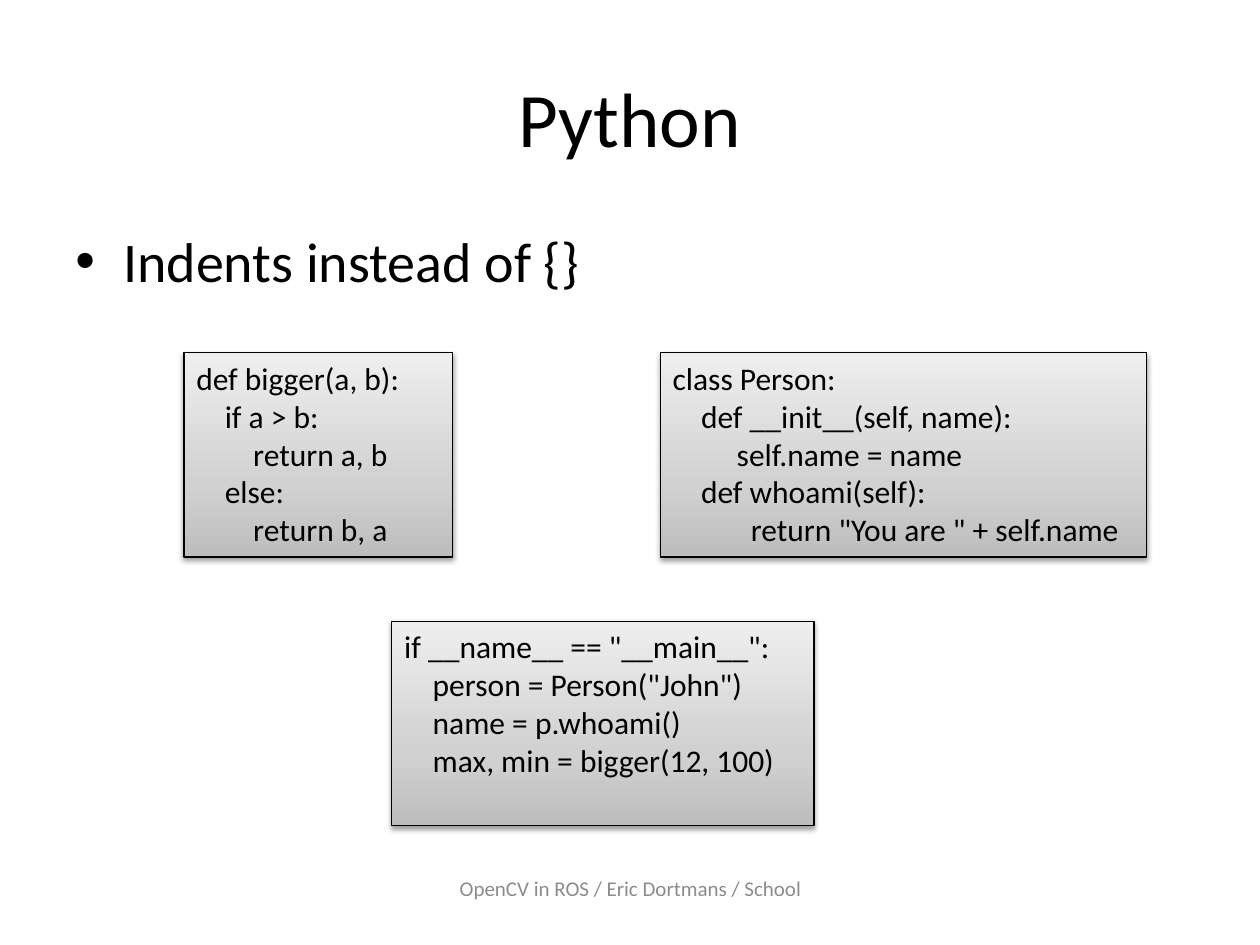
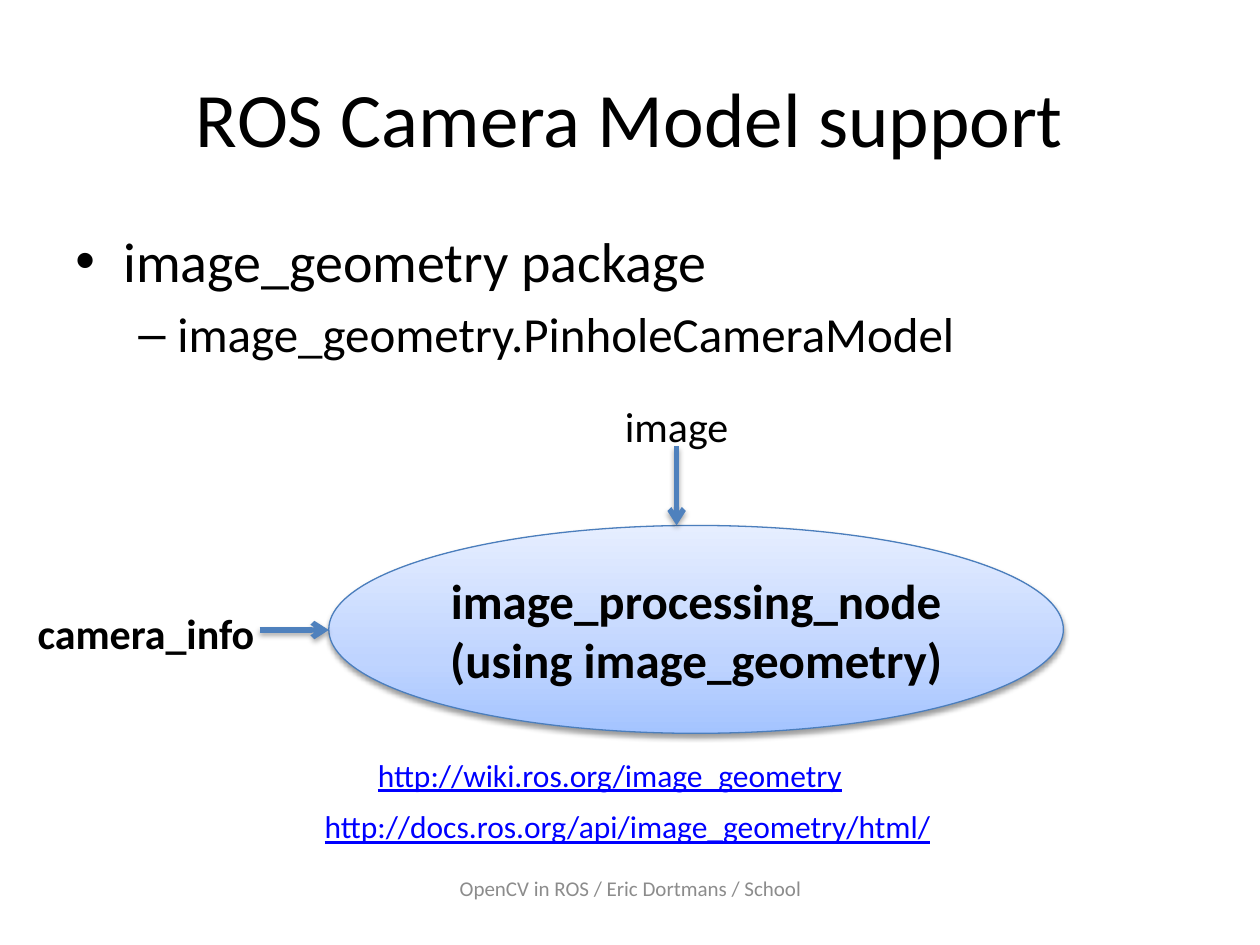
from pptx import Presentation
from pptx import util as u
from pptx.dml.color import RGBColor
from pptx.enum import shapes, text
from pptx.oxml import parse_xml
from pptx.oxml.ns import nsdecls

BLACK = RGBColor(0x00, 0x00, 0x00)
GREY = RGBColor(0x8C, 0x8C, 0x8C)
LINK = RGBColor(0x00, 0x00, 0xFF)
OUTLINE = RGBColor(0x4B, 0x7E, 0xBC)
ARROW = RGBColor(0x4F, 0x81, 0xBD)
GREYS = [RGBColor(0xBD, 0xBD, 0xBD), RGBColor(0xD1, 0xD1, 0xD1), RGBColor(0xEE, 0xEE, 0xEE)]
BLUES = [RGBColor(0xA4, 0xC4, 0xFF), RGBColor(0xBF, 0xD4, 0xFF), RGBColor(0xE6, 0xEE, 0xFF)]
CENTER, LEFT = text.PP_ALIGN.CENTER, text.PP_ALIGN.LEFT
TOP, MIDDLE = text.MSO_ANCHOR.TOP, text.MSO_ANCHOR.MIDDLE
FOOTER = "OpenCV in ROS / Eric Dortmans / School"
SPACE = 0.0565


def write(sp, lines, size, color=BLACK, align=LEFT, anchor=TOP, bold=False, wrap=True):
    tf = sp.text_frame
    tf.word_wrap = wrap
    tf.vertical_anchor = anchor
    for i, line in enumerate(lines):
        p = tf.paragraphs[0] if i == 0 else tf.add_paragraph()
        p.alignment = align
        r = p.add_run()
        r.text = line
        r.font.name = "Calibri"
        r.font.size = u.Pt(size)
        r.font.bold = bold
        r.font.color.rgb = color
    return tf


def finish(sp, line_color, width, stops=(), opacity=38, distance=1.6):
    spPr = sp._element.spPr
    if stops:
        gs = "".join(f'<a:gs pos="{pos}000"><a:srgbClr val="{c}"/></a:gs>'
                     for pos, c in zip((0, 35, 100), stops))
        spPr.insert(2, parse_xml(f'<a:gradFill {nsdecls("a")} rotWithShape="1"><a:gsLst>{gs}</a:gsLst>'
                                 '<a:lin ang="16200000" scaled="0"/></a:gradFill>'))
    sp.line.color.rgb = line_color
    sp.line.width = u.Pt(width)
    spPr.append(parse_xml(
        f'<a:effectLst {nsdecls("a")}><a:outerShdw blurRad="{u.Pt(3.1)}" dist="{u.Pt(distance)}" '
        f'dir="5400000" rotWithShape="0"><a:srgbClr val="000000"><a:alpha val="{opacity}000"/>'
        '</a:srgbClr></a:outerShdw></a:effectLst>'))


prs = Presentation()
prs.slide_width, prs.slide_height = u.Inches(10), u.Inches(7.5)

BULLETS = {0: ("•", 32, 0.38, -0.38), 1: ("–", 28, 0.81, -0.31)}
outline = [
    ("Python", ["Indents instead of {}"]),
    ("ROS Camera Model support", ["image_geometry package", "image_geometry.PinholeCameraModel"]),
]
for title, points in outline:
    s = prs.slides.add_slide(prs.slide_layouts[6])
    sp = s.shapes.add_textbox(*map(u.Inches, (0.5, 0.3, 9, 1.25)))
    write(sp, [title], 44, align=CENTER, anchor=MIDDLE)
    sp = s.shapes.add_textbox(*map(u.Inches, (0.5, 1.75, 9, 4.95)))
    tf = write(sp, points, 32)
    for level, p in enumerate(tf.paragraphs):
        mark, size, margin, indent = BULLETS[level]
        p.level = level
        p.space_before = u.Pt(size * 0.2)
        p.runs[0].font.size = u.Pt(size)
        pPr = p._p.get_or_add_pPr()
        pPr.set("marL", str(u.Inches(margin)))
        pPr.set("indent", str(u.Inches(indent)))
        pPr.append(parse_xml(f'<a:buFont {nsdecls("a")} typeface="Arial"/>'))
        pPr.append(parse_xml(f'<a:buChar {nsdecls("a")} char="{mark}"/>'))
    sp = s.shapes.add_textbox(*map(u.Inches, (3.42, 6.95, 3.17, 0.4)))
    write(sp, [FOOTER], 12, GREY, CENTER).margin_top = 0

python_slide, camera_slide = prs.slides

listings = [
    (5.24, 2.8, 3.86, [(0, "class Person:"), (4, "def __init__(self, name):"),
                       (9, "self.name = name"), (4, "def whoami(self):"),
                       (11, 'return "You are " + self.name')]),
    (1.46, 2.8, 2.13, [(0, "def bigger(a, b):"), (4, "if a > b:"), (8, "return a, b"),
                       (4, "else:"), (8, "return b, a")]),
    (3.11, 4.93, 3.35, [(0, 'if __name__ == "__main__":'), (4, 'person = Person("John")'),
                        (4, "name = p.whoami()"), (4, "max, min = bigger(12, 100)")]),
]
for x, y, w, code in listings:
    sp = python_slide.shapes.add_shape(shapes.MSO_SHAPE.RECTANGLE, *map(u.Inches, (x, y, w, 1.62)))
    finish(sp, BLACK, 0.75, GREYS)
    tf = write(sp, [line for _, line in code], 18)
    for p, (spaces, _) in zip(tf.paragraphs, code):
        p._p.get_or_add_pPr().set("marL", str(u.Inches(spaces * SPACE)))

links = [
    (1.87, 6.36, 6.22, "http://docs.ros.org/api/image_geometry/html/", CENTER),
    (2.9, 5.95, 3.99, "http://wiki.ros.org/image_geometry", LEFT),
]
for x, y, w, address, align in links:
    sp = camera_slide.shapes.add_textbox(*map(u.Inches, (x, y, w, 0.4)))
    tf = write(sp, [address], 18, LINK, align)
    tf.paragraphs[0].runs[0].font.underline = True

node = camera_slide.shapes.add_shape(shapes.MSO_SHAPE.OVAL, *map(u.Inches, (2.61, 4.17, 5.83, 1.65)))
finish(node, OUTLINE, 0.75, BLUES)
write(node, ["image_processing_node", "(using image_geometry)"], 28,
      align=CENTER, anchor=MIDDLE, bold=True)

for ends in [(5.37, 3.54, 5.37, 4.17), (2.06, 5, 2.61, 5)]:
    arrow = camera_slide.shapes.add_connector(shapes.MSO_CONNECTOR.STRAIGHT, *map(u.Inches, ends))
    finish(arrow, ARROW, 3, opacity=35, distance=1.8)
    arrow.line._get_or_add_ln().append(parse_xml(f'<a:tailEnd {nsdecls("a")} type="arrow"/>'))

sp = camera_slide.shapes.add_textbox(*map(u.Inches, (0.2, 4.77, 1.94, 0.5)))
write(sp, ["camera_info"], 24, bold=True, wrap=False)
sp = camera_slide.shapes.add_textbox(*map(u.Inches, (4.45, 3.13, 1.84, 0.5)))
write(sp, ["image"], 24, align=CENTER)

prs.save("out.pptx")
